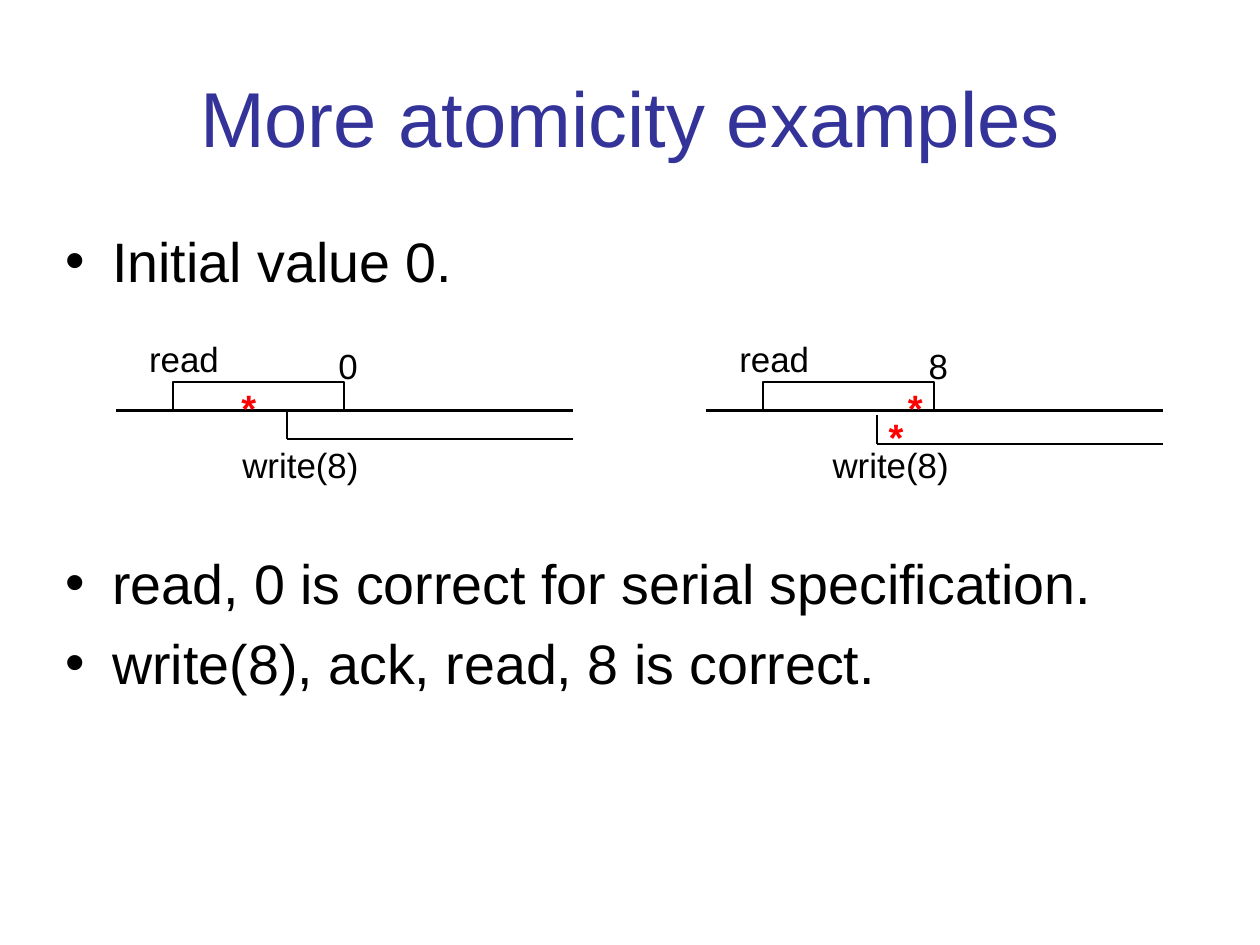
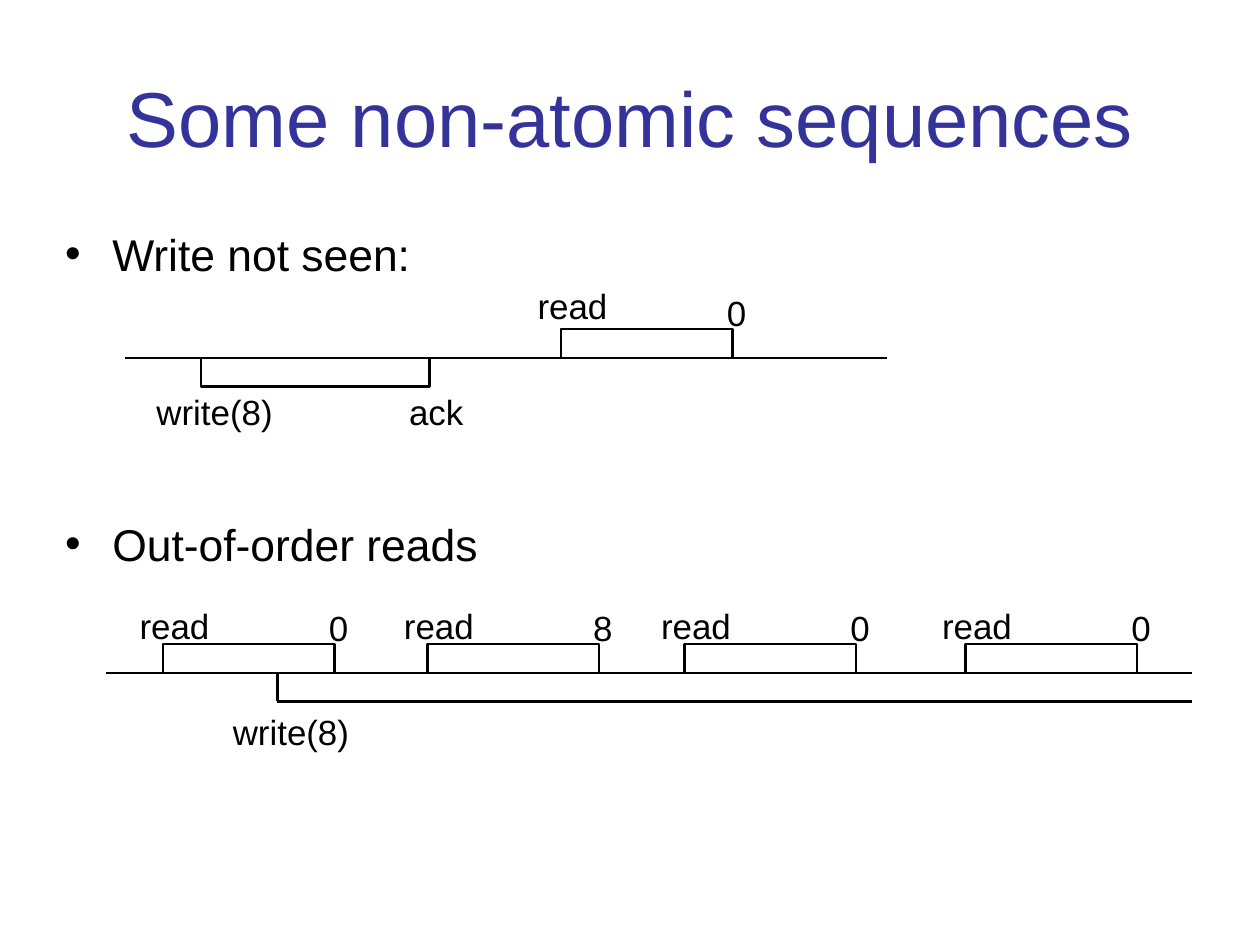
from pptx import Presentation
from pptx.dml.color import RGBColor
from pptx.enum.shapes import MSO_CONNECTOR, MSO_SHAPE
from pptx.enum.text import MSO_ANCHOR, MSO_AUTO_SIZE, PP_ALIGN
from pptx.oxml.ns import qn
from pptx.util import Pt

STRAIGHT = MSO_CONNECTOR.STRAIGHT
RECTANGLE = MSO_SHAPE.RECTANGLE
MIDDLE, TOP = MSO_ANCHOR.MIDDLE, MSO_ANCHOR.TOP
NO_FIT = MSO_AUTO_SIZE.NONE
CENTER, LEFT = PP_ALIGN.CENTER, PP_ALIGN.LEFT

INDIGO = RGBColor(0x33, 0x33, 0x99)
BLACK = RGBColor(0, 0, 0)
RED = RGBColor(255, 0, 0)

FONT = "Arial"
SLIDE_WIDTH, SLIDE_HEIGHT = 793.75, 595.25
TITLE_BOX = (39.6, 23.76, 714.24, 99.36)
BODY_BOX = (33.12, 138.5, 740.88, 423.36)
BULLET_INDENT = 29.75
LINE_WIDTH = 1.45
READ_WIDTH, BAR_HEIGHT = 108, 18
LABEL_HEIGHT = 36


# Shared text and line styles
def style_font(paragraph, size, color, bold=False):
    font = paragraph.font
    font.name, font.size, font.bold = FONT, Pt(size), bold
    font.color.rgb = color


def set_frame(frame, anchor, wrap):
    frame.margin_left = frame.margin_right = Pt(7.92)
    frame.margin_top = frame.margin_bottom = Pt(4.32)
    frame.vertical_anchor = anchor
    frame.auto_size = NO_FIT
    frame.word_wrap = wrap


def place(shape, box):
    shape.left, shape.top, shape.width, shape.height = map(Pt, box)


def add_label(slide, text, left, top, width, size=22, color=BLACK, bold=False):
    label = slide.shapes.add_textbox(Pt(left), Pt(top), Pt(width), Pt(LABEL_HEIGHT))
    set_frame(label.text_frame, TOP, False)
    paragraph = label.text_frame.paragraphs[0]
    paragraph.text = text
    paragraph.line_spacing = 1.04
    style_font(paragraph, size, color, bold)


def add_line(slide, left, top, right, bottom):
    line = slide.shapes.add_connector(STRAIGHT, Pt(left), Pt(top), Pt(right), Pt(bottom))
    line.line.color.rgb = BLACK
    line.line.width = Pt(LINE_WIDTH)
    properties = line._element.spPr
    properties.append(properties.makeelement(qn("a:effectLst"), {}))


def add_bar(slide, left, top, width):
    bar = slide.shapes.add_shape(RECTANGLE, Pt(left), Pt(top), Pt(width), Pt(BAR_HEIGHT))
    bar.shadow.inherit = False
    bar.fill.background()
    bar.line.color.rgb = BLACK
    bar.line.width = Pt(LINE_WIDTH)


# Title and bullets; each bullet is (text, space before)
def add_content_slide(presentation, title, bullets, size):
    slide = presentation.slides.add_slide(presentation.slide_layouts[1])
    heading, body = slide.shapes.title, slide.placeholders[1]

    place(heading, TITLE_BOX)
    set_frame(heading.text_frame, MIDDLE, True)
    paragraph = heading.text_frame.paragraphs[0]
    paragraph.text = title
    paragraph.alignment = CENTER
    style_font(paragraph, 49, INDIGO)

    place(body, BODY_BOX)
    frame = body.text_frame
    set_frame(frame, TOP, True)
    frame.text = "\n".join(text for text, _ in bullets)
    for paragraph, (_, space) in zip(frame.paragraphs, bullets):
        paragraph.alignment = LEFT
        paragraph.space_before = Pt(space)
        style_font(paragraph, size, BLACK)
        properties = paragraph._p.get_or_add_pPr()
        properties.set("marL", str(Pt(BULLET_INDENT)))
        properties.set("indent", str(-Pt(BULLET_INDENT)))
    return slide


# Operations above and below a timeline
def add_read(slide, left, timeline, value, read_rise=51.4, value_rise=47):
    add_bar(slide, left, timeline - BAR_HEIGHT, READ_WIDTH)
    add_label(slide, "read", left - 22.7, timeline - read_rise, 59.8)
    add_label(slide, value, left + 96.5, timeline - value_rise, 28.1)


def add_write_label(slide, left, timeline, drop=15.5):
    add_label(slide, "write(8)", left - 36, timeline + drop, 88.6)


def add_open_write(slide, left, right, timeline, gap=0, label_drop=15.5):
    top = timeline + gap
    bottom = top + BAR_HEIGHT
    add_line(slide, left, top, left, bottom)
    add_line(slide, left, bottom, right, bottom)
    add_write_label(slide, left, timeline, label_drop)


def add_closed_write(slide, left, width, timeline):
    add_bar(slide, left, timeline, width)
    add_write_label(slide, left, timeline)
    add_label(slide, "ack", left + width - 20.9, timeline + 15.5, 50.4)


# Overlapping read and write, with stars at (x, y) from the timeline start
def add_overlap(slide, left, timeline, width, value, stars, write_gap=0):
    right = left + width
    add_line(slide, left, timeline, right, timeline)
    add_read(slide, left + 36, timeline, value)
    add_open_write(slide, left + 108, right, timeline, write_gap)
    for x, y in stars:
        add_label(slide, "*", left + x, timeline + y, 24, 24, RED, True)


def add_unseen_write(slide, left, timeline, width):
    add_line(slide, left, timeline, left + width, timeline)
    add_read(slide, left + 274.5, timeline, "0")
    add_closed_write(slide, left + 47.7, 144, timeline)


def add_unordered_reads(slide, left, timeline, width):
    right = left + width
    add_line(slide, left, timeline, right, timeline)
    for offset, value in ((36, "0"), (202.5, "8"), (364.5, "0"), (541.5, "0")):
        add_read(slide, left + offset, timeline, value, 48.2, 47.3)
    add_open_write(slide, left + 108, right, timeline, label_drop=18.2)


def build_examples(presentation):
    slide = add_content_slide(presentation, "More atomicity examples", [
        ("Initial value 0.", 0),
        ("read, 0 is correct for serial specification.", 160.7),
        ("write(8), ack, read, 8 is correct.", 8.8),
    ], 35)
    add_overlap(slide, 72.8, 258.6, 288, "0", [(71.3, -22)])
    add_overlap(slide, 444.6, 258.6, 288, "8", [(119.5, -22), (107.3, -3.8)], 3)


def build_sequences(presentation):
    slide = add_content_slide(presentation, "Some non-atomic sequences", [
        ("Write not seen:", 0),
        ("Out-of-order reads", 149.2),
    ], 28)
    add_unseen_write(slide, 79, 225.4, 479.6)
    add_unordered_reads(slide, 66.8, 423.8, 684)


presentation = Presentation()
presentation.slide_width = Pt(SLIDE_WIDTH)
presentation.slide_height = Pt(SLIDE_HEIGHT)
build_examples(presentation)
build_sequences(presentation)
presentation.save("out.pptx")
